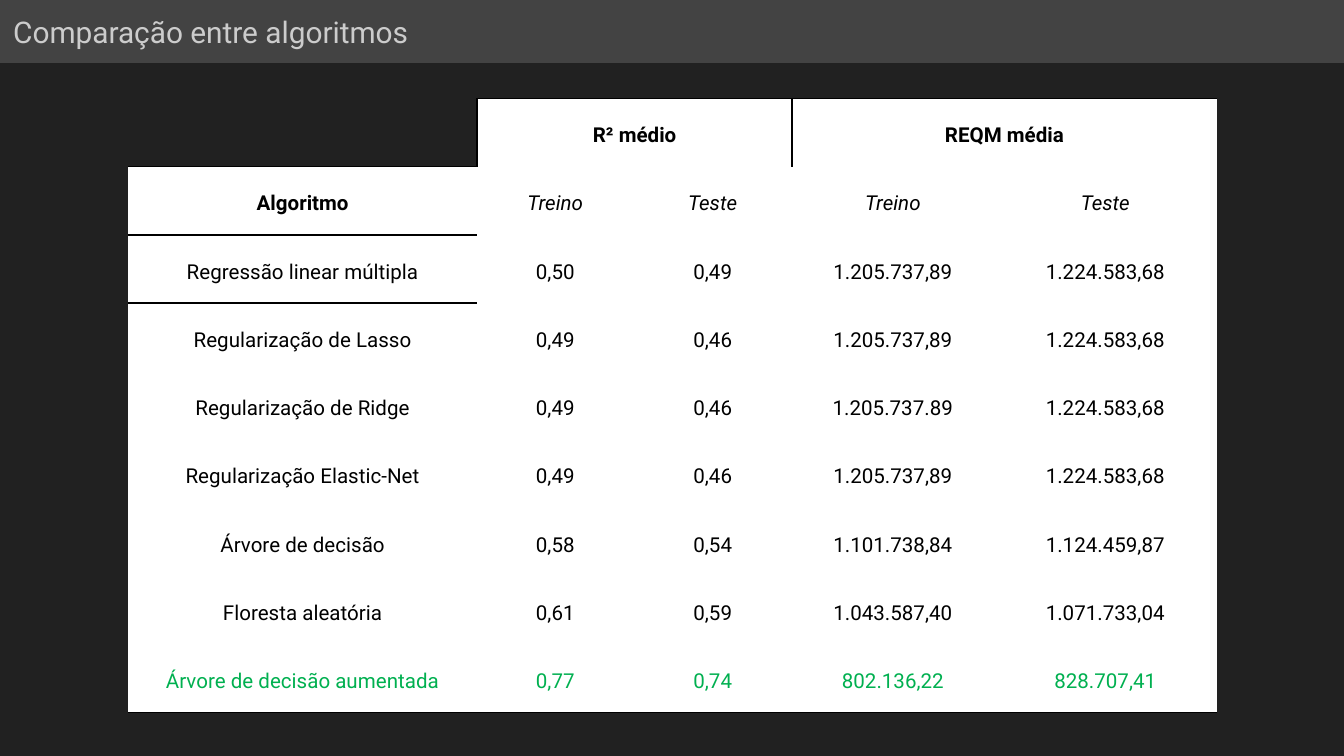
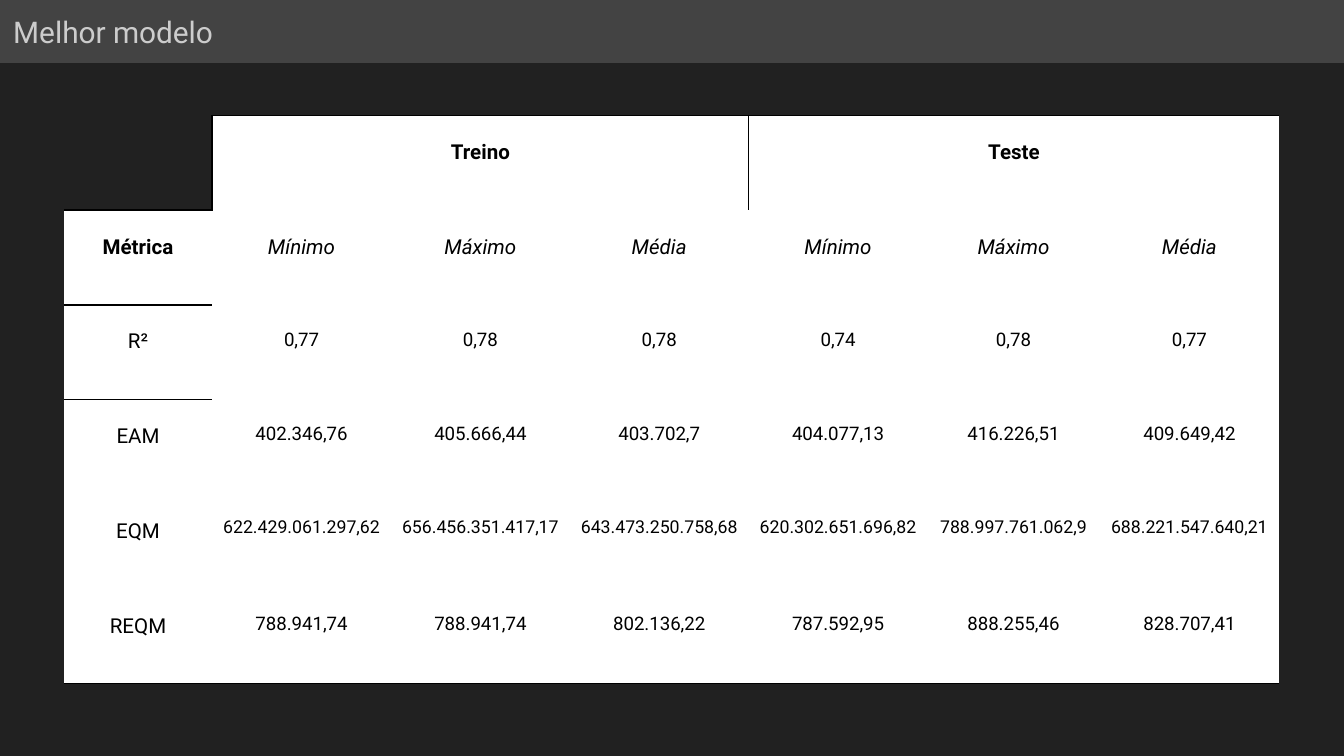
from lxml import etree
from pptx import Presentation
from pptx import util as u
from pptx.dml import color
from pptx.enum import text
from pptx.oxml import ns

FONT = "Roboto"
BACKGROUND, BAND, TITLE = "212121", "434343", "CCCCCC"
WHITE, BLACK, GREEN = "FFFFFF", "000000", "00B050"
NO_GRID_STYLE = "{2D5ABB26-0587-4C30-8999-92F81FD0307C}"
SLIDE_WIDTH, SLIDE_HEIGHT = u.Cm(25.4), u.Cm(14.29)
TITLE_BOX = {"left": 0, "top": 0, "width": SLIDE_WIDTH, "height": u.Cm(1.19)}
TITLE_FRAME = {
    "margin_left": u.Cm(0.25), "margin_right": u.Cm(0.25),
    "margin_top": u.Cm(0.25), "margin_bottom": u.Cm(0.25),
    "word_wrap": True, "auto_size": text.MSO_AUTO_SIZE.NONE,
    "vertical_anchor": text.MSO_ANCHOR.MIDDLE,
}
CELL_FORMAT = {
    "margin_left": u.Cm(0.18), "margin_right": u.Cm(0.18),
    "margin_top": u.Cm(0.25), "margin_bottom": u.Cm(0.25),
    "vertical_anchor": text.MSO_ANCHOR.TOP,
}

ALGORITHMS = {
    "left": 2.42, "top": 1.86, "row_height": 1.29,
    "widths": [6.6, 2.95, 3, 3.81, 4.22],
    "groups": ["R² médio", "REQM média"],
    "rows": [
        ["Algoritmo", "Treino", "Teste", "Treino", "Teste"],
        ["Regressão linear múltipla", "0,50", "0,49", "1.205.737,89", "1.224.583,68"],
        ["Regularização de Lasso", "0,49", "0,46", "1.205.737,89", "1.224.583,68"],
        ["Regularização de Ridge", "0,49", "0,46", "1.205.737.89", "1.224.583,68"],
        ["Regularização Elastic-Net", "0,49", "0,46", "1.205.737,89", "1.224.583,68"],
        ["Árvore de decisão", "0,58", "0,54", "1.101.738,84", "1.124.459,87"],
        ["Floresta aleatória", "0,61", "0,59", "1.043.587,40", "1.071.733,04"],
        ["Árvore de decisão aumentada", "0,77", "0,74", "802.136,22", "828.707,41"],
    ],
    "row_colors": {8: GREEN},
}
BEST_MODEL = {
    "left": 1.21, "top": 2.18, "row_height": 1.79,
    "widths": [2.8, 3.38, 3.38, 3.38, 3.38, 3.25, 3.4],
    "groups": ["Treino", "Teste"],
    "rows": [
        ["Métrica"] + ["Mínimo", "Máximo", "Média"] * 2,
        ["R²", "0,77", "0,78", "0,78", "0,74", "0,78", "0,77"],
        ["EAM", "402.346,76", "405.666,44", "403.702,7",
         "404.077,13", "416.226,51", "409.649,42"],
        ["EQM", "622.429.061.297,62", "656.456.351.417,17", "643.473.250.758,68",
         "620.302.651.696,82", "788.997.761.062,9", "688.221.547.640,21"],
        ["REQM", "788.941,74", "788.941,74", "802.136,22",
         "787.592,95", "888.255,46", "828.707,41"],
    ],
    "value_sizes": {2: 10, 3: 10, 4: 9.5, 5: 10},
    "space_after": 10,
}


def rgb(value):
    return color.RGBColor.from_string(value)


def apply(target, values):
    for name, value in values.items():
        setattr(target, name, value)


def paint(target, value):
    target.fill.solid()
    target.fill.fore_color.rgb = rgb(value)


def format_font(font, value, **values):
    apply(font, {"name": FONT, **values})
    font.color.rgb = rgb(value)


def add_slide(presentation, title):
    slide = presentation.slides.add_slide(presentation.slide_layouts[5])
    shape = slide.shapes.title
    apply(shape, TITLE_BOX)
    paint(shape, BAND)
    apply(shape.text_frame, TITLE_FRAME)
    paragraph = shape.text_frame.paragraphs[0]
    paragraph.alignment = text.PP_ALIGN.LEFT
    run = paragraph.add_run()
    run.text = title
    format_font(run.font, TITLE, size=u.Pt(16))
    return slide


def add_borders(cell, sides):
    properties = cell._tc.get_or_add_tcPr()
    for side in sides:
        line = etree.SubElement(properties, ns.qn(f"a:ln{side}"), w=str(u.Pt(1)))
        fill = etree.SubElement(line, ns.qn("a:solidFill"))
        etree.SubElement(fill, ns.qn("a:srgbClr"), val=BLACK)


def border_sides(row, column, last_row, group_starts):
    if row == 0:
        if column == 0:
            return "RB"
        return "LT" if column in group_starts else "T"
    if column == 0 and row == 1:
        return "TB"
    if column == 0 and row == 2:
        return "T"
    return "B" if row == last_row else ""


def write_cell(cell, content, value, space_after, **font_values):
    paragraph = cell.text_frame.paragraphs[0]
    apply(paragraph, {"alignment": text.PP_ALIGN.CENTER, "line_spacing": 1.5,
                      "space_after": u.Pt(space_after)})
    run = paragraph.add_run()
    run.text = content
    format_font(run.font, value, **font_values)


def add_results_table(slide, left, top, row_height, widths, groups, rows,
                      row_colors={}, value_sizes={}, space_after=0):
    span = (len(widths) - 1) // len(groups)
    group_starts = range(1, len(widths), span)
    group_row = [""] * len(widths)
    for start, group in zip(group_starts, groups):
        group_row[start] = group
    all_rows = [group_row] + rows
    table = slide.shapes.add_table(
        len(all_rows), len(widths), u.Cm(left), u.Cm(top),
        u.Cm(sum(widths)), u.Cm(row_height * len(all_rows))).table
    apply(table, {"first_row": False, "horz_banding": False})
    table._tbl.tblPr.find(ns.qn("a:tableStyleId")).text = NO_GRID_STYLE
    for column, width in zip(table.columns, widths):
        column.width = u.Cm(width)
    for row_index, contents in enumerate(all_rows):
        table.rows[row_index].height = u.Cm(row_height)
        for column_index, content in enumerate(contents):
            cell = table.cell(row_index, column_index)
            apply(cell, CELL_FORMAT)
            add_borders(cell, border_sides(
                row_index, column_index, len(rows), group_starts))
            if row_index or column_index:
                paint(cell, WHITE)
            else:
                cell.fill.background()
            if content:
                size = value_sizes.get(row_index, 11) if column_index else 11
                write_cell(
                    cell, content, row_colors.get(row_index, BLACK), space_after,
                    size=u.Pt(size),
                    bold=row_index == 0 or (row_index == 1 and column_index == 0),
                    italic=row_index == 1 and column_index > 0)
    for start in group_starts:
        table.cell(0, start).merge(table.cell(0, start + span - 1))


def main():
    presentation = Presentation()
    apply(presentation, {"slide_width": SLIDE_WIDTH, "slide_height": SLIDE_HEIGHT})
    paint(presentation.slide_master.background, BACKGROUND)
    for title, results in (("Comparação entre algoritmos", ALGORITHMS),
                           ("Melhor modelo", BEST_MODEL)):
        add_results_table(add_slide(presentation, title), **results)
    presentation.save("out.pptx")


if __name__ == "__main__":
    main()
